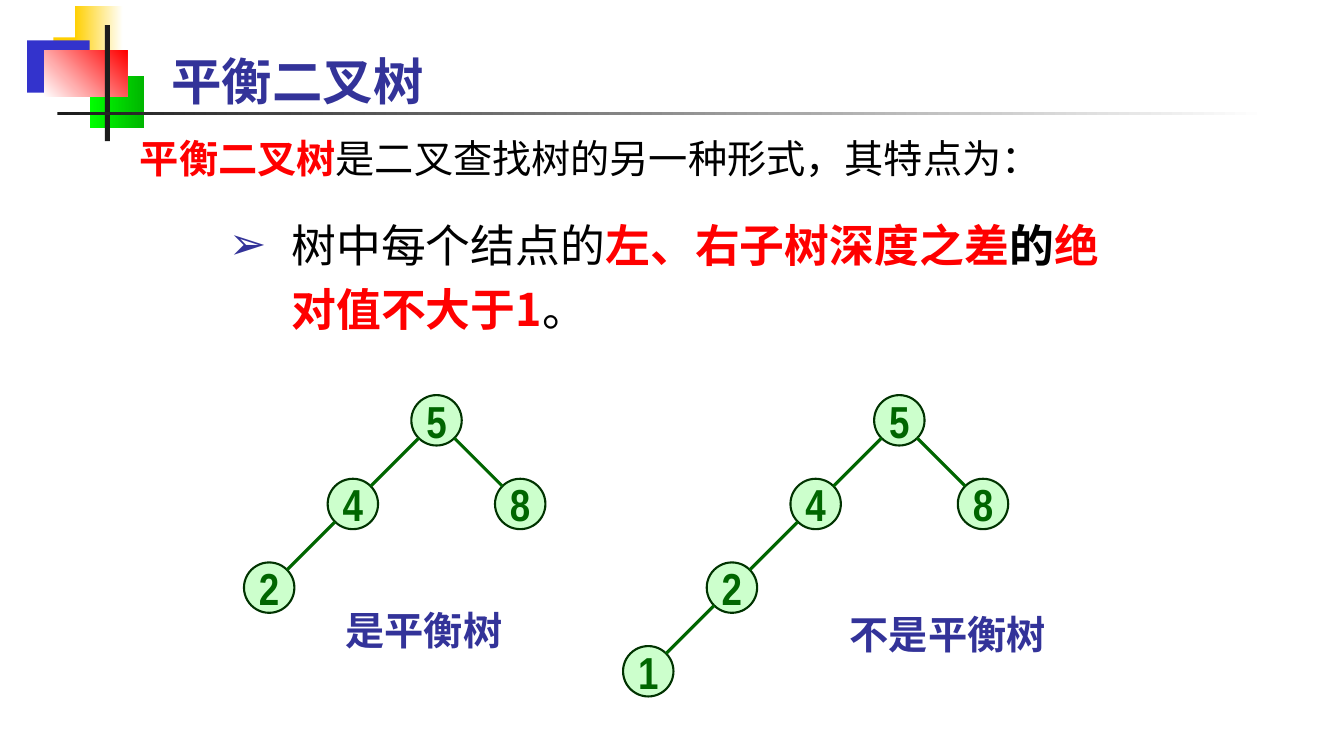
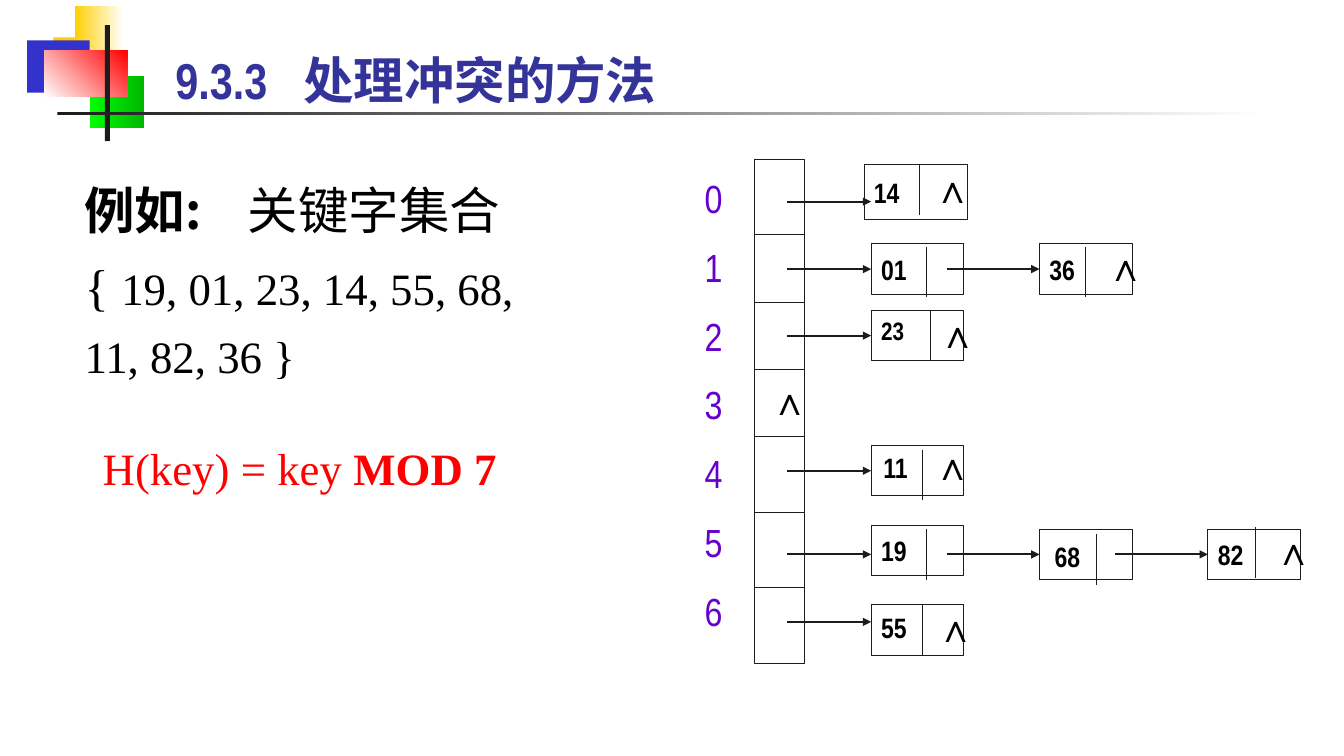
import math
import lxml.etree
import pptx
import pptx.dml.color
import pptx.enum.shapes
import pptx.enum.text
import pptx.oxml.ns
import pptx.util

Inches, Pt = pptx.util.Inches, pptx.util.Pt
RGB = pptx.dml.color.RGBColor
SHAPE = pptx.enum.shapes.MSO_SHAPE
ANCHOR = pptx.enum.text.MSO_ANCHOR
ALIGN = pptx.enum.text.PP_ALIGN
qn = pptx.oxml.ns.qn

BLACK, WHITE, INK = RGB(0, 0, 0), RGB(255, 255, 255), RGB(0x1C, 0x1C, 0x1C)
RED, NAVY, PURPLE = RGB(255, 0, 0), RGB(0x33, 0x33, 0x99), RGB(0x66, 0, 0xCC)
GOLD, BLUE = RGB(0xFF, 0xCF, 0x01), RGB(0x33, 0x33, 0xCC)
LIME, GREEN = RGB(0, 255, 0), RGB(0, 0xB6, 0)
MINT, FOREST, LEAF = RGB(0xCC, 255, 0xCC), RGB(0, 0x33, 0), RGB(0, 0x66, 0)

CJK, NARROW, TIMES = "Noto Sans CJK SC", "Arial Narrow", "Times New Roman"

TITLE = dict(size=Pt(36), name=NARROW, bold=True, rgb=NAVY)
INTRO = dict(size=Pt(28), name=CJK, rgb=BLACK, bold=False)
POINT = dict(INTRO, size=Pt(32))
CAPTION = dict(INTRO, rgb=NAVY, bold=True)
TREE_KEY = dict(size=Pt(32), name=NARROW, rgb=LEAF, bold=True)
EXAMPLE = dict(INTRO, size=Pt(36))
KEY_SET = dict(size=Pt(32), name=TIMES, rgb=BLACK, bold=False)
FORMULA = dict(KEY_SET, rgb=RED)
INDEX = dict(size=Pt(28), name=NARROW, rgb=PURPLE, bold=False)
CHAIN_KEY = dict(size=Pt(20), name=NARROW, rgb=BLACK, bold=True)
NULL = dict(CHAIN_KEY, size=Pt(28))
STRONG = dict(bold=True, rgb=RED)

DECORATION = [
    ((0.53, 0.37, 0.64, 0.52), [GOLD], 0),
    ((0.74, 0.06, 0.48, 0.52), [GOLD, WHITE], 0),
    ((0.27, 0.4, 0.62, 0.52), [BLUE], 0),
    ((0.89, 0.75, 0.54, 0.52), [LIME, GREEN], 0),
    ((0.44, 0.5, 0.82, 0.46), [WHITE, RED], 45),
    ((1.04, 0.25, 0.05, 1.15), [INK], 0),
    ((0.57, 1.11, 12, 0.03), [INK, WHITE], 0),
]

INTRO_RUNS = [
    ("平衡二叉树", dict(INTRO, **STRONG)),
    ("是二叉查找树的另一种形式，其特点为：", INTRO),
]
POINT_RUNS = [
    ("树中每个结点的", POINT),
    ("左、右子树深度之差", dict(POINT, **STRONG)),
    ("的", dict(POINT, bold=True)),
    ("绝对值不大于1", dict(POINT, **STRONG)),
    ("。", POINT),
]

TREES = [
    (4.33, [("5", 0, 0), ("4", -1, 1), ("8", 1, 1), ("2", -2, 2)],
     "是平衡树", (3.33, 5.97, 1.77, 0.57)),
    (8.92, [("5", 0, 0), ("4", -1, 1), ("8", 1, 1), ("2", -2, 2), ("1", -3, 3)],
     "不是平衡树", (8.33, 6.01, 2.17, 0.57)),
]
ROOT_Y, STEP, RADIUS = 4.17, 0.83, 0.25

BUCKET_X, BUCKET_W = 7.48, 0.5
BUCKET_EDGES = [1.58, 2.33, 3, 3.67, 4.33, 5.08, 5.83, 6.58]
CHAIN_X, CHAIN_PITCH, CELL_W, CELL_H = 8.64, 1.67, 0.92, 0.5
WIDE_CELLS = {"14": (8.57, 1.63, 1.03, 0.55)}
# key, top, divider, text shift, end mark
CHAINS = [
    (2, [("14", 1.63, (9.12, 1.63), (0, 0), (9.16, 1.58))]),
    (2.67, [("01", 2.42, (9.19, 2.45), (0, 0), None),
            ("36", 2.42, (10.77, 2.45), (0, 0), (10.88, 2.35))]),
    (3.33, [("23", 3.08, (9.23, 3.08), (0, -0.05), (9.21, 3.02))]),
    (4.67, [("11", 4.42, (9.15, 4.46), (0.02, -0.03), (9.16, 4.33))]),
    (5.5, [("19", 5.21, (9.19, 5.25), (0, 0), None),
           ("68", 5.25, (10.88, 5.3), (0.05, 0.02), None),
           ("82", 5.25, (12.45, 5.23), (0, 0), (12.54, 5.17))]),
    (6.17, [("55", 6, (9.15, 6), (0, -0.03), (9.19, 5.94))]),
]
EMPTY_BUCKET_MARK = (7.54, 3.68)


def place(sp, box):
    for name, value in zip(("left", "top", "width", "height"), box):
        setattr(sp, name, Inches(value))


def write(p, runs, **layout):
    for name, value in layout.items():
        setattr(p, name, value)
    for text, fmt in runs:
        r = p.add_run()
        r.text = text
        for name, value in fmt.items():
            if name == "rgb":
                r.font.color.rgb = value
            else:
                setattr(r.font, name, value)
        ea = lxml.etree.SubElement(r.font._element, qn("a:ea"))
        ea.set("typeface", CJK)


def add_text(s, box, *paragraphs, wrap=True, **layout):
    tf = s.shapes.add_textbox(*map(Inches, box)).text_frame
    tf.word_wrap = wrap
    for i, runs in enumerate(paragraphs):
        write(tf.paragraphs[0] if i == 0 else tf.add_paragraph(), runs, **layout)
    return tf


def add_tab(p, inches):
    tabs = lxml.etree.SubElement(p._p.get_or_add_pPr(), qn("a:tabLst"))
    tab = lxml.etree.SubElement(tabs, qn("a:tab"))
    tab.set("pos", str(Inches(inches)))
    tab.set("algn", "l")


def add_bullet(p, char, color, indent):
    pPr = p._p.get_or_add_pPr()
    pPr.set("marL", str(Inches(indent)))
    pPr.set("indent", str(-Inches(indent)))
    clr = lxml.etree.SubElement(pPr, qn("a:buClr"))
    lxml.etree.SubElement(clr, qn("a:srgbClr")).set("val", str(color))
    lxml.etree.SubElement(pPr, qn("a:buChar")).set("char", char)


def add_shape(s, kind, box, fill=None, line=None, width=0.75):
    sp = s.shapes.add_shape(kind, *map(Inches, box))
    sp.shadow.inherit = False
    if fill is None:
        sp.fill.background()
    else:
        sp.fill.solid()
        sp.fill.fore_color.rgb = fill
    if line is None:
        sp.line.fill.background()
    else:
        sp.line.color.rgb = line
        sp.line.width = Pt(width)
    return sp


def add_line(s, start, end, color=INK, width=0.75, arrow=False):
    cx = s.shapes.add_connector(
        pptx.enum.shapes.MSO_CONNECTOR.STRAIGHT, *map(Inches, start + end))
    cx.line.color.rgb = color
    cx.line.width = Pt(width)
    if arrow:
        ln = cx.line._get_or_add_ln()
        lxml.etree.SubElement(ln, qn("a:tailEnd")).set("type", "triangle")
    lxml.etree.SubElement(cx._element.spPr, qn("a:effectLst"))


def write_in_shape(sp, text, fmt, align, shift=(0, 0)):
    tf = sp.text_frame
    dx, dy = shift
    settings = dict(
        word_wrap=False, vertical_anchor=ANCHOR.MIDDLE,
        margin_left=Inches(0.1 + dx), margin_right=Inches(0.1),
        margin_top=Inches(0.05 + dy), margin_bottom=Inches(0.05 - dy))
    for name, value in settings.items():
        setattr(tf, name, value)
    write(tf.paragraphs[0], [(text, fmt)], alignment=align)


def decorate_master(prs, s):
    tree = prs.slide_master.shapes.element
    for i, (box, colors, angle) in enumerate(DECORATION):
        sp = add_shape(s, SHAPE.RECTANGLE, box, colors[0])
        if len(colors) > 1:
            sp.fill.gradient()
            sp.fill.gradient_angle = angle
            for stop, color in zip(sp.fill.gradient_stops, colors):
                stop.color.rgb = color
        sp.element.nvSpPr.cNvPr.set("id", str(100 + i))
        tree.insert(2 + i, sp.element)


def set_title(s, text, box, tab=None):
    sp = s.shapes.title
    place(sp, box)
    tf = sp.text_frame
    tf.auto_size = pptx.enum.text.MSO_AUTO_SIZE.NONE
    tf.vertical_anchor = ANCHOR.TOP
    if tab:
        add_tab(tf.paragraphs[0], tab)
    write(tf.paragraphs[0], [(text, TITLE)], alignment=ALIGN.LEFT)


def add_tree(s, root_x, nodes, caption, caption_box):
    centers = {(col, row): (root_x + col * STEP, ROOT_Y + row * STEP)
               for _, col, row in nodes}
    for key, col, row in nodes:
        x, y = centers[col, row]
        box = (x - RADIUS, y - RADIUS, 2 * RADIUS, 2 * RADIUS)
        sp = add_shape(s, SHAPE.OVAL, box, MINT, FOREST, 1.5)
        write_in_shape(sp, key, TREE_KEY, ALIGN.CENTER)
    rim = RADIUS * math.sqrt(0.5)
    for _, col, row in nodes[1:]:
        side = 1 if col > 0 else -1
        px, py = centers[col - side, row - 1]
        x, y = centers[col, row]
        add_line(s, (px + side * rim, py + rim), (x - side * rim, y - rim), LEAF, 2.25)
    add_text(s, caption_box, [(caption, CAPTION)], wrap=False)


def add_null(s, at):
    add_text(s, at + (0.44, 0.57), [("∧", NULL)], wrap=False)


def add_chain(s, arrow_y, cells):
    arrow_x = 7.81
    for i, (key, top, divider, shift, end_mark) in enumerate(cells):
        x = CHAIN_X + i * CHAIN_PITCH
        box = WIDE_CELLS.get(key, (x, top, CELL_W, CELL_H))
        sp = add_shape(s, SHAPE.RECTANGLE, box, line=INK)
        fmt = dict(CHAIN_KEY, size=Pt(18)) if key == "23" else CHAIN_KEY
        write_in_shape(sp, key, fmt, ALIGN.LEFT, shift)
        add_line(s, divider, (divider[0], divider[1] + CELL_H))
        add_line(s, (arrow_x, arrow_y), (x, arrow_y), width=1.5, arrow=True)
        arrow_x = x + 0.75
        if end_mark:
            add_null(s, end_mark)


def build_balanced_tree(s):
    set_title(s, "平衡二叉树", (1.6, 0.45, 2.9, 0.7))
    add_text(s, (1.29, 1.19, 9.5, 0.67), INTRO_RUNS, line_spacing=1.2)
    body = s.placeholders[1]
    place(body, (2.17, 2, 9.08, 1.31))
    body.text_frame.auto_size = pptx.enum.text.MSO_AUTO_SIZE.NONE
    p = body.text_frame.paragraphs[0]
    add_bullet(p, "➢", NAVY, 0.62)
    write(p, POINT_RUNS, line_spacing=1.2, space_before=Pt(0))
    for tree in TREES:
        add_tree(s, *tree)


def build_hash_chains(s):
    set_title(s, "9.3.3\t处理冲突的方法", (1.64, 0.44, 5.86, 0.7), tab=1.27)
    tf = add_text(s, (0.74, 1.58, 4.54, 2.29), [], [
        ("{ ", dict(KEY_SET, size=Pt(36))),
        ("19, 01, 23, 14, 55, 68, 11, 82, 36 }", KEY_SET),
    ], line_spacing=1.25)
    add_tab(tf.paragraphs[0], 1.62)
    write(tf.paragraphs[0], [("例如:\t", dict(EXAMPLE, bold=True)), ("关键字集合", EXAMPLE)])
    add_text(s, (0.92, 4.32, 4.14, 0.64), [
        ("H(key) = key ", FORMULA), ("MOD 7", dict(FORMULA, bold=True))], wrap=False)

    top, bottom = BUCKET_EDGES[0], BUCKET_EDGES[-1]
    add_shape(s, SHAPE.RECTANGLE, (BUCKET_X, top, BUCKET_W, bottom - top), line=INK)
    for y in BUCKET_EDGES[1:-1]:
        add_line(s, (BUCKET_X, y), (BUCKET_X + BUCKET_W, y))
    tf = add_text(s, (6.89, 1.68, 0.58, 4.78), *[[(str(i), INDEX)] for i in range(7)])
    for p in tf.paragraphs[1:]:
        p.space_before = Pt(15.5)
    for chain in CHAINS:
        add_chain(s, *chain)
    add_null(s, EMPTY_BUCKET_MARK)


def main():
    prs = pptx.Presentation()
    prs.slide_width, prs.slide_height = Inches(13.33), Inches(7.5)
    tree_slide = prs.slides.add_slide(prs.slide_layouts[1])
    decorate_master(prs, tree_slide)
    build_balanced_tree(tree_slide)
    build_hash_chains(prs.slides.add_slide(prs.slide_layouts[5]))
    prs.save("out.pptx")


if __name__ == "__main__":
    main()
